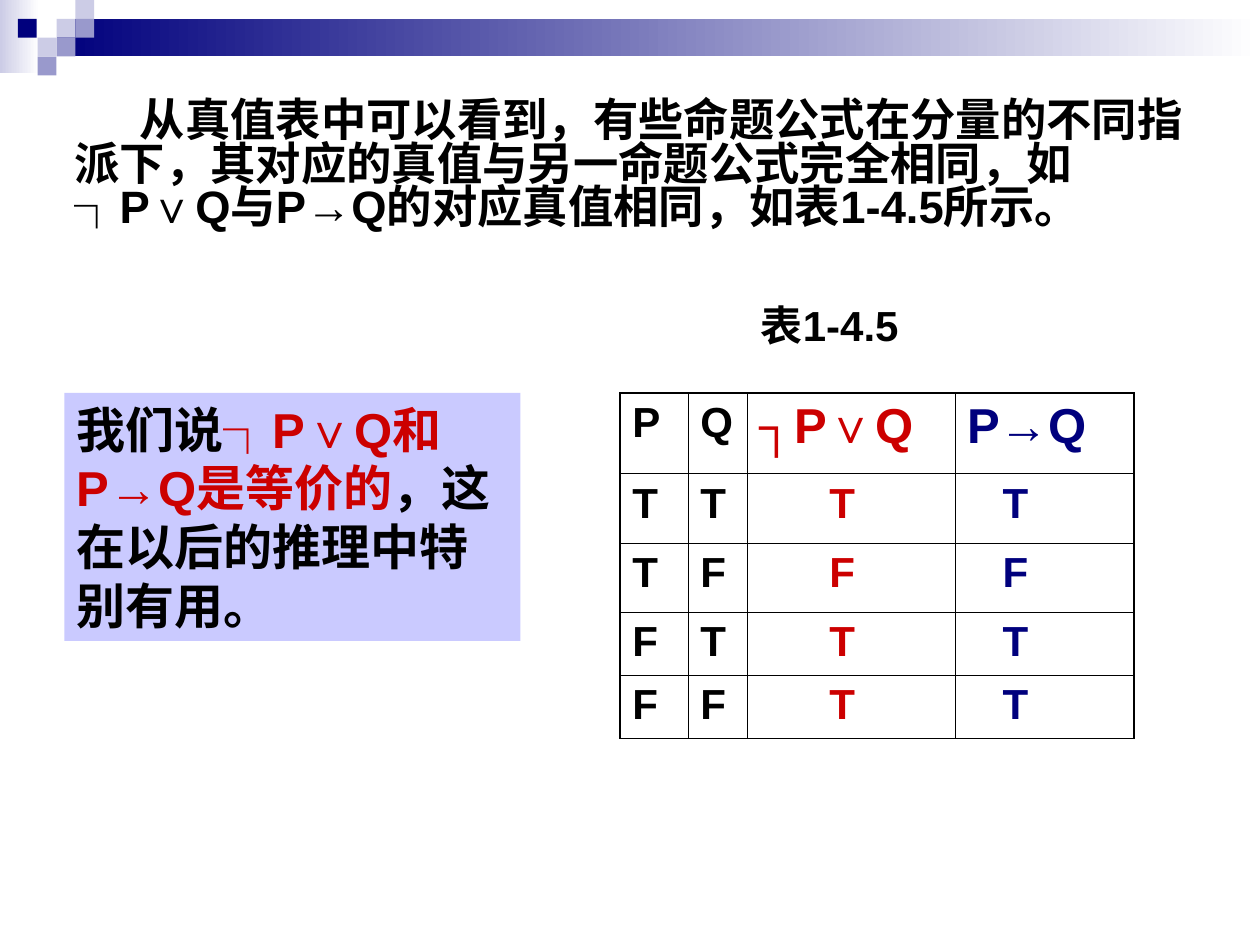
from dataclasses import dataclass

from lxml import etree
from pptx import Presentation
from pptx.dml.color import RGBColor
from pptx.enum.shapes import MSO_SHAPE
from pptx.enum.text import MSO_ANCHOR, MSO_AUTO_SIZE, PP_ALIGN
from pptx.oxml.ns import qn
from pptx.slide import Slide
from pptx.util import Cm, Pt

RECTANGLE = MSO_SHAPE.RECTANGLE
TOP = MSO_ANCHOR.TOP
GROW = MSO_AUTO_SIZE.SHAPE_TO_FIT_TEXT
ALIGN_LEFT = PP_ALIGN.LEFT

COLORS = {
    "black": "000000",
    "white": "FFFFFF",
    "navy": "00007D",
    "red": "CC0000",
    "pale": "CCCCE6",
    "medium": "9999CC",
    "panel": "CACAFF",
}
THIN, THICK = 0.45, 1.08
MARGIN = 0.25


def rgb(name):
    return RGBColor.from_string(COLORS[name])


def write(frame, *runs, size=24, font="Arial", bold=True, line_spacing=None,
          indent=0, first_line=0):
    """Fill the first paragraph with (text, colour name) runs; indents are in cm."""
    paragraph = frame.paragraphs[0]
    paragraph.alignment = ALIGN_LEFT
    if line_spacing:
        paragraph.line_spacing = line_spacing
    if indent or first_line:
        properties = paragraph._p.get_or_add_pPr()
        properties.set("marL", str(Cm(indent)))
        properties.set("indent", str(Cm(first_line)))
    for text, color in runs:
        run = paragraph.add_run()
        run.text = text
        run.font.size = Pt(size)
        run.font.name = font
        run.font.bold = bold
        run.font.color.rgb = rgb(color)


def set_borders(cell, **widths):
    """Draw black cell borders; keys are L, R, T, B in that order, widths in points."""
    properties = cell._tc.get_or_add_tcPr()
    for position, (side, width) in enumerate(widths.items()):
        line = etree.Element(qn(f"a:ln{side}"), w=str(Pt(width)))
        fill = etree.SubElement(line, qn("a:solidFill"))
        etree.SubElement(fill, qn("a:srgbClr"), val=COLORS["black"])
        properties.insert(position, line)


@dataclass
class SlideBuilder:
    slide: Slide

    def rectangle(self, left, top, width, height, color, fade_to=None):
        shape = self.slide.shapes.add_shape(
            RECTANGLE, Cm(left), Cm(top), Cm(width), Cm(height))
        shape.shadow.inherit = False
        shape.line.fill.background()
        if fade_to:
            shape.fill.gradient()
            shape.fill.gradient_angle = 0
            for stop, name in zip(shape.fill.gradient_stops, (color, fade_to)):
                stop.color.rgb = rgb(name)
        else:
            shape.fill.solid()
            shape.fill.fore_color.rgb = rgb(color)
        return shape

    def fill_text(self, shape, *runs, grow=False, **text_format):
        frame = shape.text_frame
        frame.word_wrap = True
        frame.vertical_anchor = TOP
        if grow:
            frame.auto_size = GROW
        write(frame, *runs, **text_format)

    def text(self, left, top, width, height, *runs, **text_format):
        box = self.slide.shapes.add_textbox(
            Cm(left), Cm(top), Cm(width), Cm(height))
        self.fill_text(box, *runs, **text_format)

    def panel(self, left, top, width, height, color, *runs, **text_format):
        shape = self.rectangle(left, top, width, height, color)
        self.fill_text(shape, *runs, **text_format)

    def table(self, left, top, widths, heights, rows, colors, indents, header_sizes):
        table = self.slide.shapes.add_table(
            len(heights), len(widths), Cm(left), Cm(top),
            Cm(sum(widths)), Cm(sum(heights))).table
        table.first_row = table.horz_banding = False
        for column, width in zip(table.columns, widths):
            column.width = Cm(width)
        for row, height in zip(table.rows, heights):
            row.height = Cm(height)
        last_row, last_column = len(heights) - 1, len(widths) - 1
        for r, values in enumerate(rows):
            for c, value in enumerate(values):
                cell = table.cell(r, c)
                cell.fill.background()
                cell.margin_left = Cm(MARGIN + (indents[c] if r else 0))
                write(cell.text_frame, (value, colors[c]),
                      size=24 if r else header_sizes[c])
                set_borders(cell,
                            L=THIN if c else THICK,
                            R=THICK if c == last_column else THIN,
                            T=THIN if r else THICK,
                            B=THICK if r == last_row else THIN)


def add_header(builder):
    unit = 0.38
    builder.rectangle(0, 0, 0.79, 1.47, "pale", fade_to="white")
    builder.rectangle(3 * unit, unit, 24.26, 2 * unit, "navy", fade_to="white")
    squares = [
        (3, 1, "pale"), (4, 0, "pale"), (4, 1, "medium"), (2, 2, "pale"),
        (0.95, 1, "navy"), (3, 2, "medium"), (2, 3, "medium"),
    ]
    for column, row, color in squares:
        builder.rectangle(column * unit, row * unit, unit, unit, color)


def main():
    presentation = Presentation()
    presentation.slide_width, presentation.slide_height = Cm(25.4), Cm(19.05)
    builder = SlideBuilder(presentation.slides.add_slide(presentation.slide_layouts[6]))

    add_header(builder)
    builder.text(
        0.3, 1.93, 24.56, 5.21,
        ("从真值表中可以看到，有些命题公式在分量的不同指派下，其对应的真值与另一命题公式"
         "完全相同，如┐P∨Q与P→Q的对应真值相同，如表1-4.5所示。", "black"),
        size=25.9, line_spacing=0.8, indent=0.95, first_line=1.32)
    builder.table(
        12.5, 7.92,
        widths=[1.37, 1.19, 4.19, 3.61],
        heights=[1.63, 1.4, 1.4, 1.27, 1.27],
        rows=[("P", "Q", "┐P∨Q", "P→Q"), "TTTT", "TFFF", "FTTT", "FFTT"],
        colors=["black", "black", "red", "navy"],
        indents=[0, 0, 1.41, 0.71],
        header_sizes=[24, 24, 28, 28])
    builder.text(15.09, 5.92, 7.21, 1.27, ("表1-4.5", "black"), grow=True)
    builder.panel(
        1.3, 7.92, 9.19, 5, "panel",
        ("我们说", "black"),
        ("┐P∨Q和P→Q是等价的", "red"),
        ("，这在以后的推理中特别有用。", "black"),
        size=28, grow=True)

    presentation.save("out.pptx")


if __name__ == "__main__":
    main()
